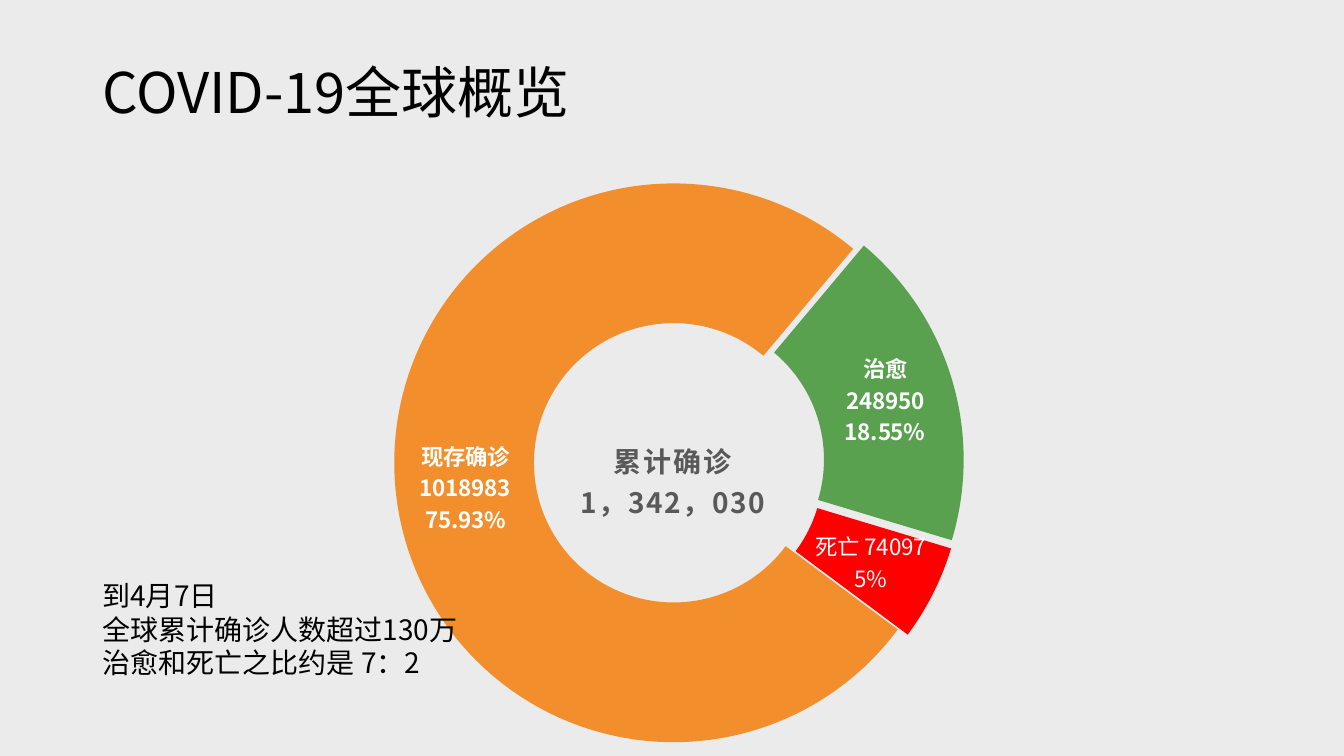
from lxml.etree import SubElement
from pptx import Presentation
from pptx.chart.data import CategoryChartData as ChartData
from pptx.dml.color import RGBColor
from pptx.enum.chart import XL_CHART_TYPE as ChartType
from pptx.enum.text import MSO_ANCHOR as Anchor
from pptx.oxml.ns import qn
from pptx.util import Cm, Pt

BACKGROUND = RGBColor(0xEB, 0xEB, 0xEB)
BLACK = RGBColor(0, 0, 0)
WHITE = RGBColor(0xFF, 0xFF, 0xFF)
GRAY = RGBColor(0x59, 0x59, 0x59)
GREEN = RGBColor(0x59, 0xA1, 0x4F)
RED = RGBColor(0xFF, 0, 0)
ORANGE = RGBColor(0xF2, 0x8E, 0x2B)
FONT = "Noto Sans CJK SC"

# category, count, colour, explosion in percent
CASES = [
    ("治愈", 248950, GREEN, 8),
    ("死亡", 74097, RED, 8),
    ("现存确诊", 1018983, ORANGE, 0),
]
SUMMARY = ["到4月7日", "全球累计确诊人数超过130万", "治愈和死亡之比约是 7：2"]


def set_all(target, values):
    for name, value in values.items():
        setattr(target, name, value)


def style_font(font, size, color, bold=False):
    """Apply the slide's font to Latin and East Asian text alike."""
    set_all(font, {"name": FONT, "size": Pt(size), "bold": bold})
    font.color.rgb = color
    SubElement(font._element, qn("a:ea"), typeface=FONT)


def write_lines(frame, lines, size, color, bold=False, spacing=None):
    for index, line in enumerate(lines):
        para = frame.add_paragraph() if index else frame.paragraphs[0]
        para.line_spacing = spacing
        span = para.add_run()
        span.text = line
        style_font(span.font, size, color, bold)


def add_text(slide, place, lines, size, spacing, anchor=Anchor.TOP):
    box = slide.shapes.add_textbox(*map(Cm, place))
    set_all(box.text_frame, {"word_wrap": True, "vertical_anchor": anchor})
    write_lines(box.text_frame, lines, size, BLACK, spacing=spacing)


def set_layout(element, **values):
    """Place a chart part by hand, in fractions of the chart area."""
    layout = element.find(qn("c:layout"))
    if layout is None:
        layout = element.makeelement(qn("c:layout"))
        element.insert(0, layout)
    manual = SubElement(layout, qn("c:manualLayout"))
    for name, value in values.items():
        SubElement(manual, qn(f"c:{name}"), val=str(value))


def color_points(series):
    for index, (_, _, color, explosion) in enumerate(CASES):
        point = series.points[index]
        point.format.fill.solid()
        point.format.fill.fore_color.rgb = color
        point.format.line.fill.background()
        if explosion:
            shape_format = series._element.findall(qn("c:dPt"))[index].find(qn("c:spPr"))
            offset = shape_format.makeelement(qn("c:explosion"), val=str(explosion))
            shape_format.addprevious(offset)


def label_points(series):
    labels = series.data_labels
    set_all(labels, {
        "show_category_name": True, "show_value": True, "show_percentage": True,
        "number_format": "0.00%", "number_format_is_linked": False,
    })
    style_font(labels.font, 16, WHITE, bold=True)
    separator = labels._element.makeelement(qn("c:separator"))
    separator.text = "\n"
    labels._element.find(qn("c:showBubbleSize")).addnext(separator)
    deaths = series.points[1].data_label.text_frame
    write_lines(deaths, ["死亡 74097", "5%"], 16, WHITE)


def add_center_title(chart):
    title = chart.chart_title
    write_lines(title.text_frame, ["累计确诊", "1，342，030"], 20, GRAY, bold=True)
    for para in title.text_frame.paragraphs:
        para.runs[0].font._element.set("spc", "100")
    set_layout(title._element, xMode="edge", yMode="edge", x=0.39, y=0.54)
    title._element.find(qn("c:overlay")).set("val", "1")


def add_doughnut(slide, place):
    data = ChartData(number_format="General")
    data.categories = [case[0] for case in CASES]
    data.add_series("Series 1", [case[1] for case in CASES])
    chart = slide.shapes.add_chart(ChartType.DOUGHNUT, *map(Cm, place), data).chart
    chart.has_legend = False
    set_all(chart.font, {"name": "Calibri", "size": Pt(10)})
    plot = chart.plots[0]
    plot.vary_by_categories = True
    for name, value in {"firstSliceAng": 40, "holeSize": 50}.items():
        plot._element.find(qn(f"c:{name}")).set("val", str(value))
    set_layout(plot._element.getparent(), layoutTarget="inner", xMode="edge",
               yMode="edge", x=0.2, y=0.17, w=0.58, h=0.82)
    color_points(plot.series[0])
    label_points(plot.series[0])
    add_center_title(chart)


def main():
    deck = Presentation()
    set_all(deck, {"slide_width": Cm(33.87), "slide_height": Cm(19.05)})
    slide = deck.slides.add_slide(deck.slide_layouts[6])
    slide.background.fill.solid()
    slide.background.fill.fore_color.rgb = BACKGROUND
    add_doughnut(slide, (5.08, 1.63, 24.28, 17.3))
    add_text(slide, (2.33, 1.02, 29.21, 2.26), ["COVID-19全球概览"], 40, 0.9, Anchor.BOTTOM)
    add_text(slide, (2.33, 14.45, 17.27, 2.82), SUMMARY, 20, Pt(24))
    deck.save("out.pptx")


if __name__ == "__main__":
    main()
